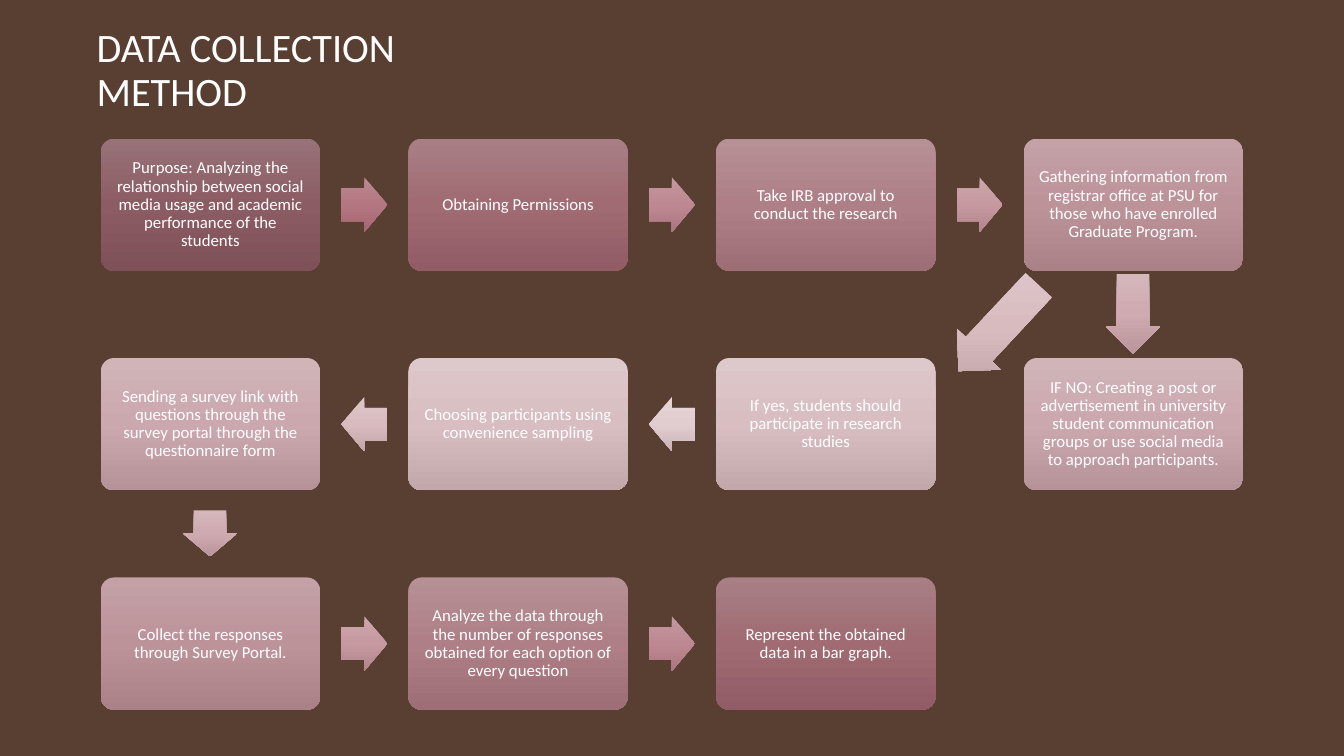
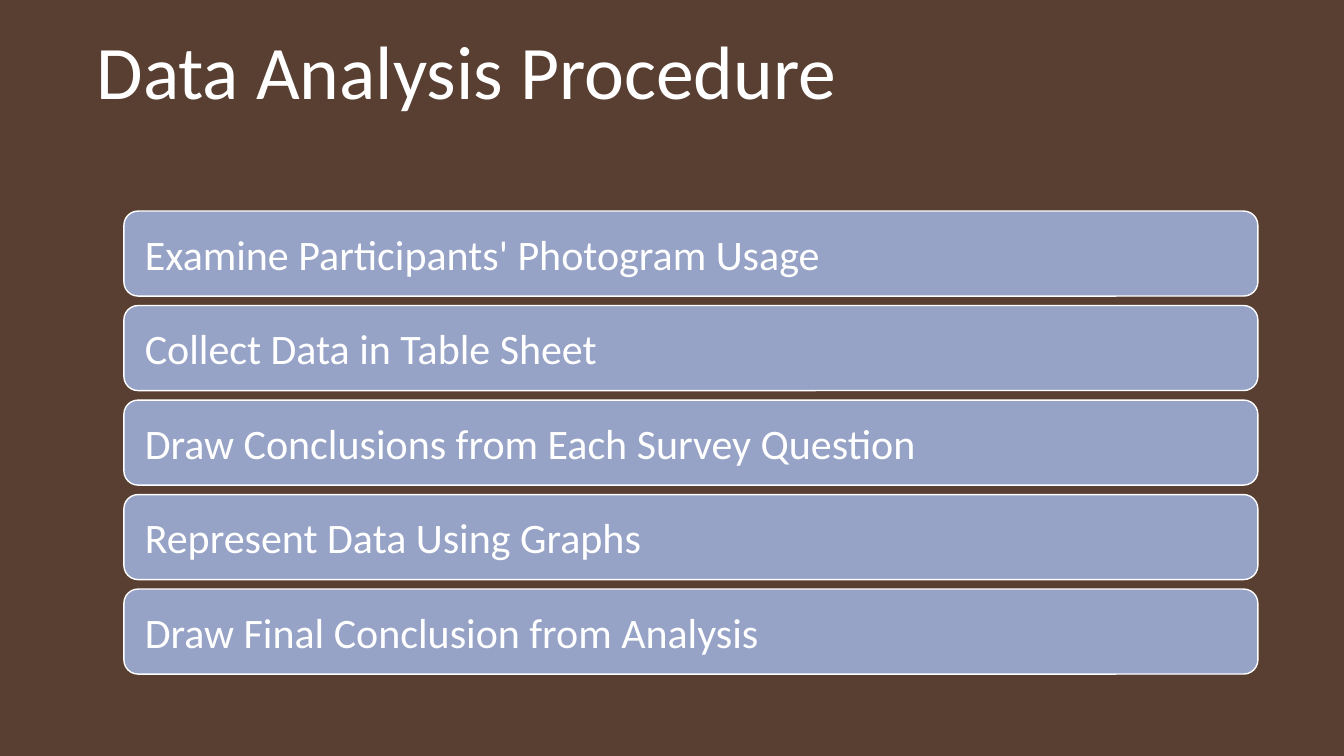
from math import atan2, degrees
from lxml import etree
from pptx import Presentation
from pptx.dml.color import RGBColor
from pptx.enum.shapes import MSO_SHAPE as Kind
from pptx.enum.text import MSO_ANCHOR as Anchor, PP_ALIGN as Align
from pptx.oxml.ns import qn
from pptx.util import Pt

# Shared style
PX = 9525
FONT, WHITE, BACK, BAR = "Calibri", "FFFFFF", "583F32", "96A2C6"

# Gradient tones, dark to light
BOX_TONES = [
    ("977278", "8C5C64", "7E5058"),
    ("A87F85", "A06B73", "915C65"),
    ("B59095", "AE7F86", "9D6E76"),
    ("C3A1A6", "BD939A", "AA8187"),
    ("D0B4B8", "CBA8AD", "B69399"),
    ("DDC8CB", "D8BDC1", "C2A7AB"),
]
ARROW_TONES = [
    ("BA8991", "B47681", "A46670"),
    ("C3989F", "BD8891", "AB767F"),
    ("CBA7AC", "C699A0", "B2858D"),
    ("D4B6BB", "CFAAB0", "BA959B"),
    ("DDC5C9", "D8BBBF", "C2A4A9"),
    ("E6D5D7", "E1CCCF", "CAB4B7"),
]

# Flow grid and steps: column, row, text
LEFT, TOP, STEP_X, STEP_Y, BOX_W, BOX_H = 96, 132, 293, 209, 209, 126
STEPS = [
    (0, 0, "Purpose: Analyzing the relationship between social media usage "
           "and academic performance of the students"),
    (1, 0, "Obtaining Permissions"),
    (2, 0, "Take IRB approval to conduct the research"),
    (3, 0, "Gathering information from registrar office at PSU for those "
           "who have enrolled Graduate Program."),
    (3, 1, "IF NO: Creating a post or advertisement in university student "
           "communication groups or use social media to approach participants."),
    (2, 1, "If yes, students should participate in research studies"),
    (1, 1, "Choosing participants using convenience sampling"),
    (0, 1, "Sending a survey link with questions through the survey portal "
           "through the questionnaire form"),
    (0, 2, "Collect the responses through Survey Portal."),
    (1, 2, "Analyze the data through the number of responses obtained for "
           "each option of every question"),
    (2, 2, "Represent the obtained data in a bar graph."),
]
# Arrows that differ from the plain link between two steps
SPECIAL = {
    3: dict(long=76),
    4: dict(mid=(951, 312), turn=133, long=112, wide=57),
}

TASKS = [
    "Examine Participants' Photogram Usage",
    "Collect Data in Table Sheet",
    "Draw Conclusions from Each Survey Question",
    "Represent Data Using Graphs",
    "Draw Final Conclusion from Analysis",
]


def color(code):
    return RGBColor.from_string(code)


def write(shape, text, size=12, align=Align.LEFT, pad=9, space=0.9):
    frame = shape.text_frame
    frame.word_wrap = True
    frame.vertical_anchor = Anchor.MIDDLE
    frame.margin_left = frame.margin_right = pad * PX
    frame.margin_top = frame.margin_bottom = 5 * PX
    para = frame.paragraphs[0]
    para.alignment, para.line_spacing = align, space
    run = para.add_run()
    run.text = text
    run.font.name, run.font.size = FONT, Pt(size)
    run.font.color.rgb = color(WHITE)


def title(slide, text, size, mid, width):
    box = slide.shapes.add_textbox(82 * PX, (mid - 50) * PX, width * PX, 100 * PX)
    write(box, text, size=size, pad=10)


def shape(slide, kind, x, y, w, h):
    item = slide.shapes.add_shape(kind, x * PX, y * PX, w * PX, h * PX)
    item.shadow.inherit = False
    return item


def shade(item, tones):
    """Fill with a three-stop gradient running down the slide."""
    item.line.fill.background()
    item.fill.gradient()
    item.fill.gradient_angle = 270
    grad = item.fill._xPr.find(qn("a:gradFill"))
    grad.set("rotWithShape", "0")
    stops = grad.find(qn("a:gsLst"))
    for old in list(stops):
        stops.remove(old)
    for i, tone in enumerate(tones):
        stop = etree.SubElement(stops, qn("a:gs"), pos=str(i * 50000))
        etree.SubElement(stop, qn("a:srgbClr"), val=tone)


def arrow(slide, tones, mid, turn, long=44, wide=52):
    x, y = mid
    item = shape(slide, Kind.RIGHT_ARROW, x - long // 2, y - wide // 2, long, wide)
    item.adjustments[0] = 0.6
    item.rotation = turn
    shade(item, tones)


def card(slide, tones, col, row, text):
    item = shape(slide, Kind.ROUNDED_RECTANGLE, LEFT + col * STEP_X,
                 TOP + row * STEP_Y, BOX_W, BOX_H)
    item.adjustments[0] = 0.1
    shade(item, tones)
    write(item, text, align=Align.CENTER)


def bar(slide, y, text):
    item = shape(slide, Kind.ROUNDED_RECTANGLE, 118, y, 1080, 81)
    item.fill.solid()
    item.fill.fore_color.rgb = color(BAR)
    item.line.color.rgb = color(WHITE)
    item.line.width = Pt(1)
    write(item, text, size=30, pad=16, space=1.0)


def link(i):
    """Middle and turn of the arrow from step i to the next one."""
    (c1, r1, _), (c2, r2, _) = STEPS[i:i + 2]
    mid = (LEFT + (BOX_W + (c1 + c2) * STEP_X) // 2,
           TOP + (BOX_H + (r1 + r2) * STEP_Y) // 2)
    return dict(mid=mid, turn=degrees(atan2(r2 - r1, c2 - c1)))


def flow(slide):
    title(slide, "DATA COLLECTION METHOD", 28.8, 68, 368)
    count = len(STEPS)
    for i, step in enumerate(STEPS):
        card(slide, BOX_TONES[min(i, count - i)], *step)
    for i in range(count - 1):
        tones = ARROW_TONES[min(i, count - 1 - i)]
        arrow(slide, tones, **{**link(i), **SPECIAL.get(i, {})})


def tasks(slide):
    title(slide, "Data Analysis Procedure", 54, 71, 1116)
    for i, text in enumerate(TASKS):
        bar(slide, 201 + i * 90, text)


def main():
    prs = Presentation()
    prs.slide_width, prs.slide_height = 1280 * PX, 720 * PX
    back = prs.slide_master.background.fill
    back.solid()
    back.fore_color.rgb = color(BACK)
    for draw in (flow, tasks):
        draw(prs.slides.add_slide(prs.slide_layouts[6]))
    prs.save("out.pptx")


if __name__ == "__main__":
    main()
